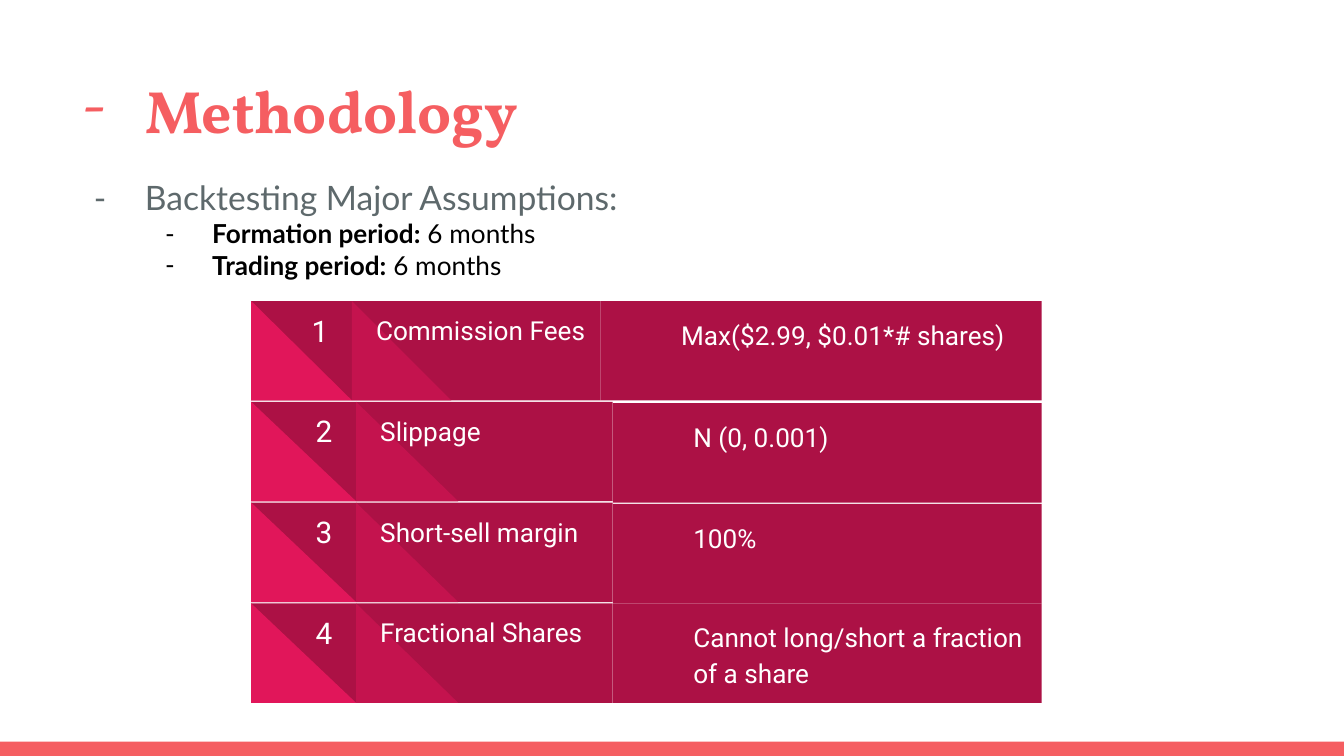
from lxml import etree
from pptx import Presentation
from pptx.dml.color import RGBColor
from pptx.enum.shapes import MSO_SHAPE
from pptx.enum.text import MSO_ANCHOR, PP_ALIGN
from pptx.oxml.ns import qn
from pptx.util import Pt

RECTANGLE = MSO_SHAPE.RECTANGLE
TRIANGLE = MSO_SHAPE.RIGHT_TRIANGLE
TOP, BOTTOM = MSO_ANCHOR.TOP, MSO_ANCHOR.BOTTOM
LEFT, CENTER = PP_ALIGN.LEFT, PP_ALIGN.CENTER

CORAL, GREY, BLACK, WHITE = "F55E61", "5E696C", "000000", "FFFFFF"
CRIMSON, ROSE, PINK = "AC1145", "C4134E", "E1165A"

TABLE_LEFT, TABLE_TOP, TABLE_RIGHT = 134.6, 161.3, 558
ROW_PITCH, ROW_HEIGHT = 54, 53.3
NARROW = (188.6, 53.3, 321.8)
WIDE = (190.8, 54.7, 328.3)
ROWS = [
    ("Commission Fees", "Max($2.99, $0.01*# shares)", NARROW, 127.4, 0),
    ("Slippage", "N (0, 0.001)", WIDE, 121, 0.7),
    ("Short-sell margin", "100%", WIDE, 121, 0.7),
    ("Fractional Shares", "Cannot long/short a fraction of a share", WIDE, 131.8, 0),
]


def color(value):
    return RGBColor.from_string(value)


class SlideBuilder:
    def __init__(self, slide):
        self.slide = slide
        self.shapes = slide.shapes

    def start_group(self):
        self.shapes = self.slide.shapes.add_group_shape().shapes

    def block(self, kind, left, top, width, height, fill):
        shape = self.shapes.add_shape(kind, Pt(left), Pt(top), Pt(width), Pt(height))
        shape.shadow.inherit = False
        shape.fill.solid()
        shape.fill.fore_color.rgb = color(fill)
        shape.line.fill.background()
        return shape

    def text_box(self, left, top, width, height, anchor=TOP):
        shape = self.shapes.add_textbox(Pt(left), Pt(top), Pt(width), Pt(height))
        return self.frame(shape, anchor)

    def frame(self, shape, anchor=TOP):
        frame = shape.text_frame
        frame.word_wrap = True
        frame.vertical_anchor = anchor
        frame.margin_left = frame.margin_right = Pt(7.2)
        frame.margin_top = frame.margin_bottom = Pt(7.2)
        return frame

    def run(self, paragraph, text, size, font="Roboto", ink=WHITE, bold=False):
        run = paragraph.add_run()
        run.text = text
        run.font.size = Pt(size)
        run.font.name = font
        run.font.bold = bold
        run.font.color.rgb = color(ink)

    def line(self, frame, text, size, align=LEFT):
        paragraph = frame.paragraphs[0]
        paragraph.alignment = align
        self.run(paragraph, text, size)
        return paragraph

    def indent(self, paragraph, margin, hanging=0):
        properties = paragraph._p.get_or_add_pPr()
        properties.set("marL", str(Pt(margin)))
        properties.set("indent", str(-Pt(hanging)))
        return properties

    def dash(self, paragraph, margin, hanging, font, ink):
        paragraph.alignment = LEFT
        properties = self.indent(paragraph, margin, hanging)
        bullet_color = etree.SubElement(properties, qn("a:buClr"))
        etree.SubElement(bullet_color, qn("a:srgbClr"), val=ink)
        etree.SubElement(properties, qn("a:buFont"), typeface=font)
        etree.SubElement(properties, qn("a:buChar"), char="-")

    def assumption_row(self, number, label, value, columns, label_width, drop):
        split, accent_width, value_left = columns
        top = TABLE_TOP + (number - 1) * ROW_PITCH
        self.start_group()
        value_box = self.block(RECTANGLE, value_left, top + drop,
                               TABLE_RIGHT - value_left, ROW_HEIGHT, CRIMSON)
        paragraph = self.line(self.frame(value_box), value, 14)
        paragraph.line_spacing = 1.15
        self.indent(paragraph, 36)
        self.block(RECTANGLE, TABLE_LEFT, top, value_left - TABLE_LEFT, ROW_HEIGHT, CRIMSON)
        self.block(TRIANGLE, split, top, accent_width, ROW_HEIGHT, ROSE)
        self.block(TRIANGLE, TABLE_LEFT, top, split - TABLE_LEFT, ROW_HEIGHT, PINK)
        number_frame = self.text_box(split - 34.4, top, 34.4, 32.4, BOTTOM)
        self.line(number_frame, str(number), 16, CENTER)
        label_frame = self.text_box(split + 5.8, top, label_width, ROW_HEIGHT)
        self.line(label_frame, label, 14)


def main():
    presentation = Presentation()
    presentation.slide_width, presentation.slide_height = Pt(720), Pt(405)
    slide = presentation.slides.add_slide(presentation.slide_layouts[6])
    builder = SlideBuilder(slide)

    builder.block(RECTANGLE, 0, 397.4, 720, 7.6, CORAL)
    title = builder.text_box(34.6, 32.4, 671, 49).paragraphs[0]
    builder.dash(title, 36, 33.8, "Vollkorn", CORAL)
    builder.run(title, "Methodology", 32, "Vollkorn", CORAL, True)

    body = builder.text_box(34.6, 87.8, 314.6, 269.3)
    heading = body.paragraphs[0]
    builder.dash(heading, 36, 27.4, "Lato", GREY)
    builder.run(heading, "Backtesting Major Assumptions:", 18, "Lato", GREY)
    for name in ("Formation period:", "Trading period:"):
        paragraph = body.add_paragraph()
        paragraph.level = 1
        builder.dash(paragraph, 72, 25.2, "Lato", BLACK)
        builder.run(paragraph, name, 14, "Lato", BLACK, True)
        builder.run(paragraph, " 6 months", 14, "Lato", BLACK)

    for number, row in enumerate(ROWS, 1):
        builder.assumption_row(number, *row)

    presentation.save("out.pptx")


if __name__ == "__main__":
    main()
